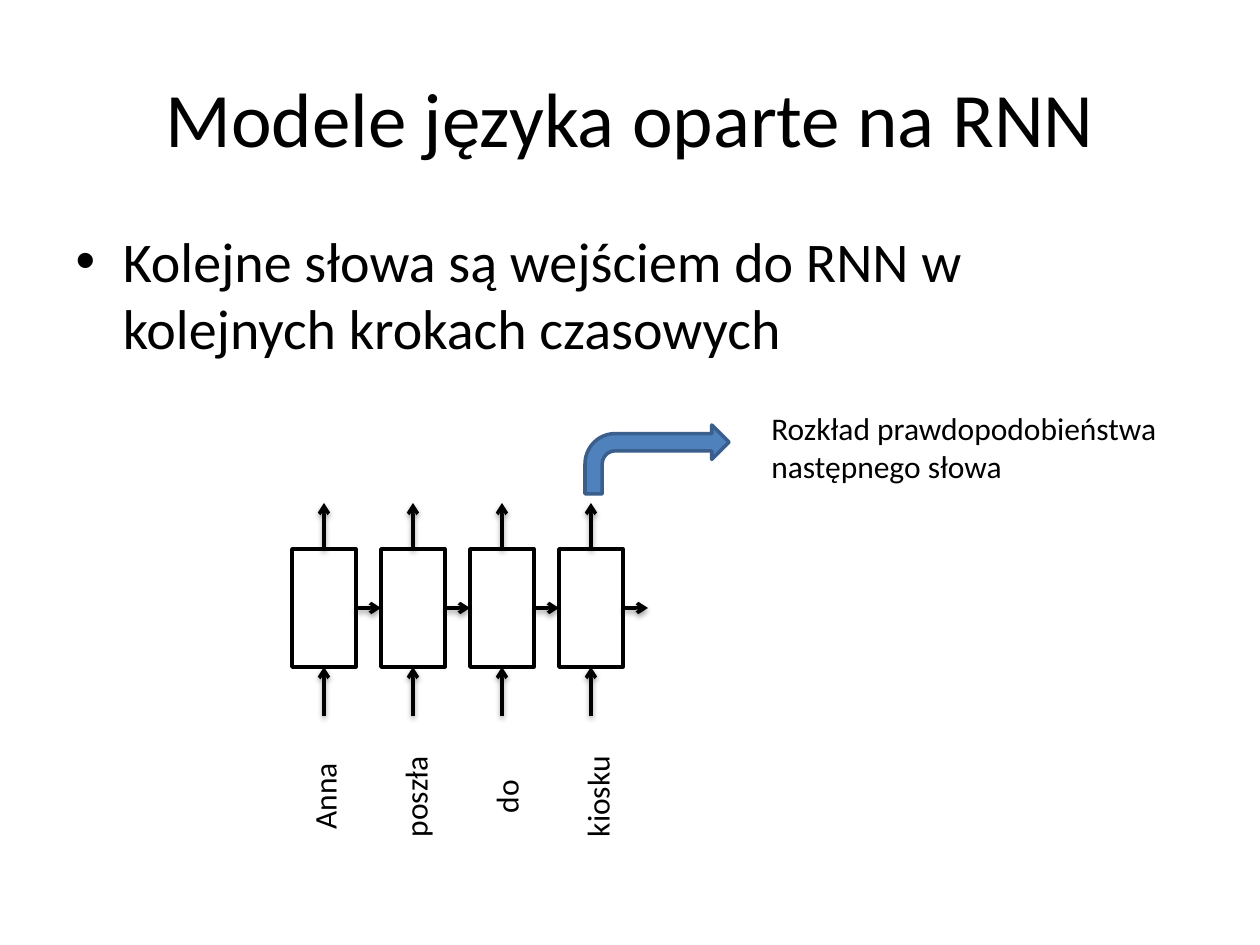
import pptx
import pptx.dml.color
import pptx.enum.shapes
import pptx.enum.text
import pptx.oxml
import pptx.oxml.ns
import pptx.util

PX_PER_INCH = 126
FONT = "Calibri"
BLACK = "000000"
WORDS = [("Anna", 92), ("poszła", 107), ("do", 59), ("kiosku", 107)]
CELL_LEFT, CELL_TOP, CELL_WIDTH, CELL_HEIGHT = 292, 549, 64, 118
CELL_PITCH, WORD_PITCH = 89, 91
OUTPUT_END, INPUT_START, LAST_STATE_END = 503, 716, 648
WORD_CENTER_X, WORD_CENTER_Y, WORD_HEIGHT = 324, 796, 50
TOP, LEFT, BOTTOM, RIGHT = range(4)
SHADOW = (
    f'<a:effectLst {pptx.oxml.ns.nsdecls("a")}>'
    '<a:outerShdw blurRad="40000" dist="20000" dir="5400000" rotWithShape="0">'
    '<a:srgbClr val="000000"><a:alpha val="38000"/></a:srgbClr>'
    '</a:outerShdw></a:effectLst>'
)
ARROWHEAD = f'<a:tailEnd {pptx.oxml.ns.nsdecls("a")} type="arrow"/>'


def px(*lengths):
    return [pptx.util.Emu(round(n * 914400 / PX_PER_INCH)) for n in lengths]


def color(value):
    return pptx.dml.color.RGBColor.from_string(value)


def add_run(paragraph, text, size):
    run = paragraph.add_run()
    run.text = text
    run.font.name = FONT
    run.font.size = pptx.util.Pt(size)
    run.font.color.rgb = color(BLACK)


def fill_placeholder(placeholder, box, text, size):
    placeholder.left, placeholder.top, placeholder.width, placeholder.height = px(*box)
    add_run(placeholder.text_frame.paragraphs[0], text, size)


def add_label(shapes, box, lines, wrap=True, rotation=0):
    label = shapes.add_textbox(*px(*box))
    label.rotation = rotation
    label.text_frame.word_wrap = wrap
    label.text_frame.auto_size = pptx.enum.text.MSO_AUTO_SIZE.SHAPE_TO_FIT_TEXT
    paragraph = label.text_frame.paragraphs[0]
    for index, line in enumerate(lines):
        if index:
            paragraph.add_line_break()
        add_run(paragraph, line, 18)


def add_block(shapes, kind, box, fill, outline):
    block = shapes.add_shape(kind, *px(*box))
    block.shadow.inherit = False
    block.fill.solid()
    block.fill.fore_color.rgb = color(fill)
    block.line.color.rgb = color(outline)
    block.line.width = pptx.util.Pt(2)
    return block


def add_arrow(shapes, start, end, source=None, target=None):
    arrow = shapes.add_connector(
        pptx.enum.shapes.MSO_CONNECTOR.STRAIGHT, *px(*start, *end))
    arrow.line.color.rgb = color(BLACK)
    arrow.line.width = pptx.util.Pt(2)
    arrow.line._get_or_add_ln().append(pptx.oxml.parse_xml(ARROWHEAD))
    arrow._element.spPr.append(pptx.oxml.parse_xml(SHADOW))
    if source:
        arrow.begin_connect(*source)
    if target:
        arrow.end_connect(*target)


def add_network(shapes):
    lefts = [CELL_LEFT + i * CELL_PITCH for i in range(len(WORDS))]
    cells = [
        add_block(shapes, pptx.enum.shapes.MSO_SHAPE.RECTANGLE,
                  (left, CELL_TOP, CELL_WIDTH, CELL_HEIGHT), "FFFFFF", BLACK)
        for left in lefts
    ]
    state_y = CELL_TOP + CELL_HEIGHT // 2
    for i, (left, cell) in enumerate(zip(lefts, cells)):
        center = left + CELL_WIDTH // 2
        add_arrow(shapes, (center, CELL_TOP), (center, OUTPUT_END),
                  source=(cell, TOP))
        add_arrow(shapes, (center, INPUT_START), (center, CELL_TOP + CELL_HEIGHT),
                  target=(cell, BOTTOM))
        is_last = i == len(cells) - 1
        state_end = LAST_STATE_END if is_last else lefts[i + 1]
        add_arrow(shapes, (left + CELL_WIDTH, state_y), (state_end, state_y),
                  source=(cell, RIGHT),
                  target=None if is_last else (cells[i + 1], LEFT))
    for i, (word, width) in enumerate(WORDS):
        center = WORD_CENTER_X + i * WORD_PITCH
        box = (center - width / 2, WORD_CENTER_Y - WORD_HEIGHT / 2, width, WORD_HEIGHT)
        add_label(shapes, box, [word], wrap=False, rotation=270)


def main():
    deck = pptx.Presentation()
    deck.slide_width, deck.slide_height = px(1260, 945)
    slide = deck.slides.add_slide(deck.slide_layouts[1])
    title, body = slide.placeholders
    fill_placeholder(title, (63, 38, 1134, 157), "Modele języka oparte na RNN", 44)
    fill_placeholder(body, (63, 220, 1134, 624),
                     "Kolejne słowa są wejściem do RNN w kolejnych krokach czasowych", 32)
    add_network(slide.shapes.add_group_shape().shapes)
    add_block(slide.shapes, pptx.enum.shapes.MSO_SHAPE.BENT_ARROW,
              (585, 425, 144, 69), "4F81BD", "3A5F8C")
    add_label(slide.shapes, (759, 403, 427, 89),
              ["Rozkład prawdopodobieństwa", "następnego słowa"])
    deck.save("out.pptx")


if __name__ == "__main__":
    main()
